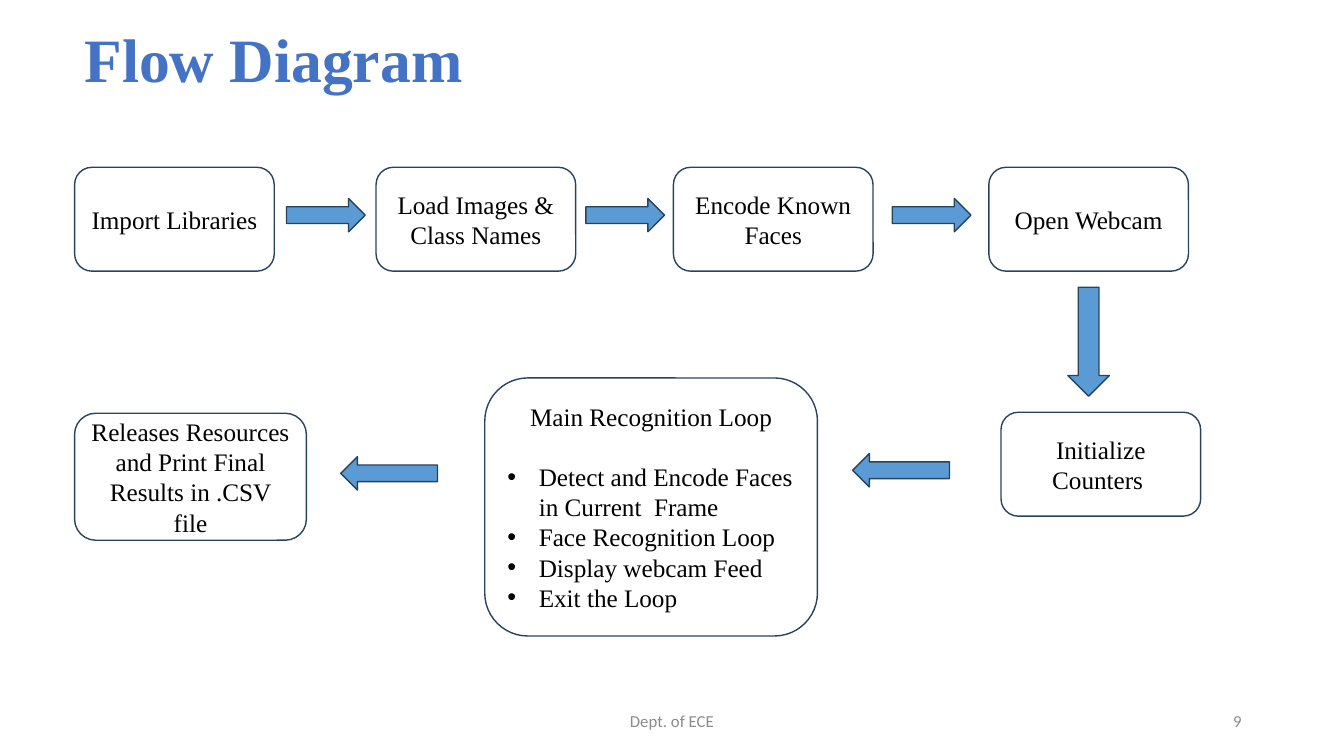
from dataclasses import dataclass

import pptx
import pptx.dml.color
import pptx.enum.shapes
import pptx.enum.text
import pptx.oxml
import pptx.oxml.ns
import pptx.util

Pt = pptx.util.Pt
MSO_SHAPE = pptx.enum.shapes.MSO_SHAPE
PP_ALIGN = pptx.enum.text.PP_ALIGN
MSO_ANCHOR = pptx.enum.text.MSO_ANCHOR


@dataclass(frozen=True)
class Theme:
    title: str = "4472C4"
    text: str = "000000"
    muted: str = "8C8C8C"
    arrow: str = "5B9BD5"
    outline: str = "28445D"
    font: str = "Times New Roman"
    footer_font: str = "Calibri"
    title_size: int = 44
    body_size: int = 18
    footer_size: int = 12


THEME = Theme()
STEP_W, STEP_H = 142.6, 74.2
ARROW_H = 23.8


def rgb(value):
    return pptx.dml.color.RGBColor.from_string(value)


def write(p, text, size, color, font=THEME.font, align=PP_ALIGN.LEFT, bold=False):
    p.text = text
    p.alignment = align
    f = p.runs[0].font
    f.name, f.size, f.bold = font, Pt(size), bold
    f.color.rgb = rgb(color)


def add_bullet(p, indent=22.5):
    pPr = p._p.get_or_add_pPr()
    pPr.set("marL", str(Pt(indent)))
    pPr.set("indent", str(Pt(-indent)))
    for tag, attr, value in (("buFont", "typeface", "Arial"), ("buChar", "char", "•")):
        bu = pptx.oxml.parse_xml(f"<a:{tag} {pptx.oxml.ns.nsdecls('a')}/>")
        bu.set(attr, value)
        pPr.append(bu)


def add_outlined(slide, kind, box):
    sp = slide.shapes.add_shape(kind, *map(Pt, box))
    sp.shadow.inherit = False
    sp.line.color.rgb = rgb(THEME.outline)
    sp.line.width = Pt(1)
    return sp


def add_step(slide, box, text, bullets=()):
    sp = add_outlined(slide, MSO_SHAPE.ROUNDED_RECTANGLE, box)
    sp.fill.background()
    tf = sp.text_frame
    tf.word_wrap = True
    tf.vertical_anchor = MSO_ANCHOR.MIDDLE
    heading = tf.paragraphs[0]
    write(heading, text, THEME.body_size, THEME.text, align=PP_ALIGN.CENTER)
    if bullets:
        heading.space_after = Pt(21)
    for item in bullets:
        p = tf.add_paragraph()
        write(p, item, THEME.body_size, THEME.text)
        add_bullet(p)


def add_arrow(slide, kind, box):
    sp = add_outlined(slide, kind, box)
    sp.fill.solid()
    sp.fill.fore_color.rgb = rgb(THEME.arrow)


def add_text(slide, box, text, anchor=MSO_ANCHOR.MIDDLE, **style):
    tf = slide.shapes.add_textbox(*map(Pt, box)).text_frame
    tf.word_wrap = True
    tf.vertical_anchor = anchor
    write(tf.paragraphs[0], text, **style)


# Title
def add_title(slide, box):
    add_text(slide, box, "Flow Diagram", MSO_ANCHOR.TOP,
             size=THEME.title_size, color=THEME.title, bold=True)


# Upper row: left to right, then down to the lower row
def add_setup_row(slide, box):
    x, y, w, h = box
    steps = [(0, "Import Libraries "), (215.3, "Load Images & Class Names"),
             (427.7, "Encode Known Faces"), (w - STEP_W, "Open Webcam")]
    for dx, text in steps:
        add_step(slide, (x + dx, y, STEP_W, h), text)

    arrow_w = 56.2
    for (left, _), (right, _) in zip(steps, steps[1:]):
        middle = x + (left + STEP_W + right) / 2 + 0.5
        add_arrow(slide, MSO_SHAPE.RIGHT_ARROW,
                  (middle - arrow_w / 2, y + 22.3, arrow_w, ARROW_H))

    down_w = 29.6
    add_arrow(slide, MSO_SHAPE.DOWN_ARROW,
              (x + w - (STEP_W + down_w) / 2, y + h + 11.5, down_w, 77.8))


# Lower row: right to left
def add_loop_row(slide, box):
    x, y, w, h = box
    add_step(slide, (x + w - STEP_W, y + 24.5, STEP_W, STEP_H), "Initialize Counters ")
    add_step(slide, (x + 293, y, 237.6, h), "Main Recognition Loop",
             ["Detect and Encode Faces in Current  Frame", "Face Recognition Loop",
              "Display webcam Feed", "Exit the Loop"])
    add_step(slide, (x, y + 25.2, 165.6, 90.7),
             "Releases Resources and Print Final Results in .CSV file")
    for dx, dy in ((555.8, 54), (190.1, 56.2)):
        add_arrow(slide, MSO_SHAPE.LEFT_ARROW, (x + dx, y + dy, 69.1, ARROW_H))


# Footer and slide number
def add_footer(slide, box):
    x, y, w, h = box
    style = dict(size=THEME.footer_size, color=THEME.muted, font=THEME.footer_font)
    add_text(slide, (x, y, 324, h), "Dept. of ECE", align=PP_ALIGN.CENTER, **style)
    add_text(slide, (x + w - 216, y, 216, h), "9", align=PP_ALIGN.RIGHT, **style)


def main():
    prs = pptx.Presentation()
    prs.slide_width, prs.slide_height = Pt(960), Pt(540)
    slide = prs.slides.add_slide(prs.slide_layouts[6])
    add_title(slide, (53.3, 11.5, 610.6, 60.5))
    add_setup_row(slide, (53.3, 119.5, 795.6, STEP_H))
    add_loop_row(slide, (53.3, 270, 804.3, 184.3))
    add_footer(slide, (318, 500.4, 576, 28.8))
    prs.save("out.pptx")


if __name__ == "__main__":
    main()
